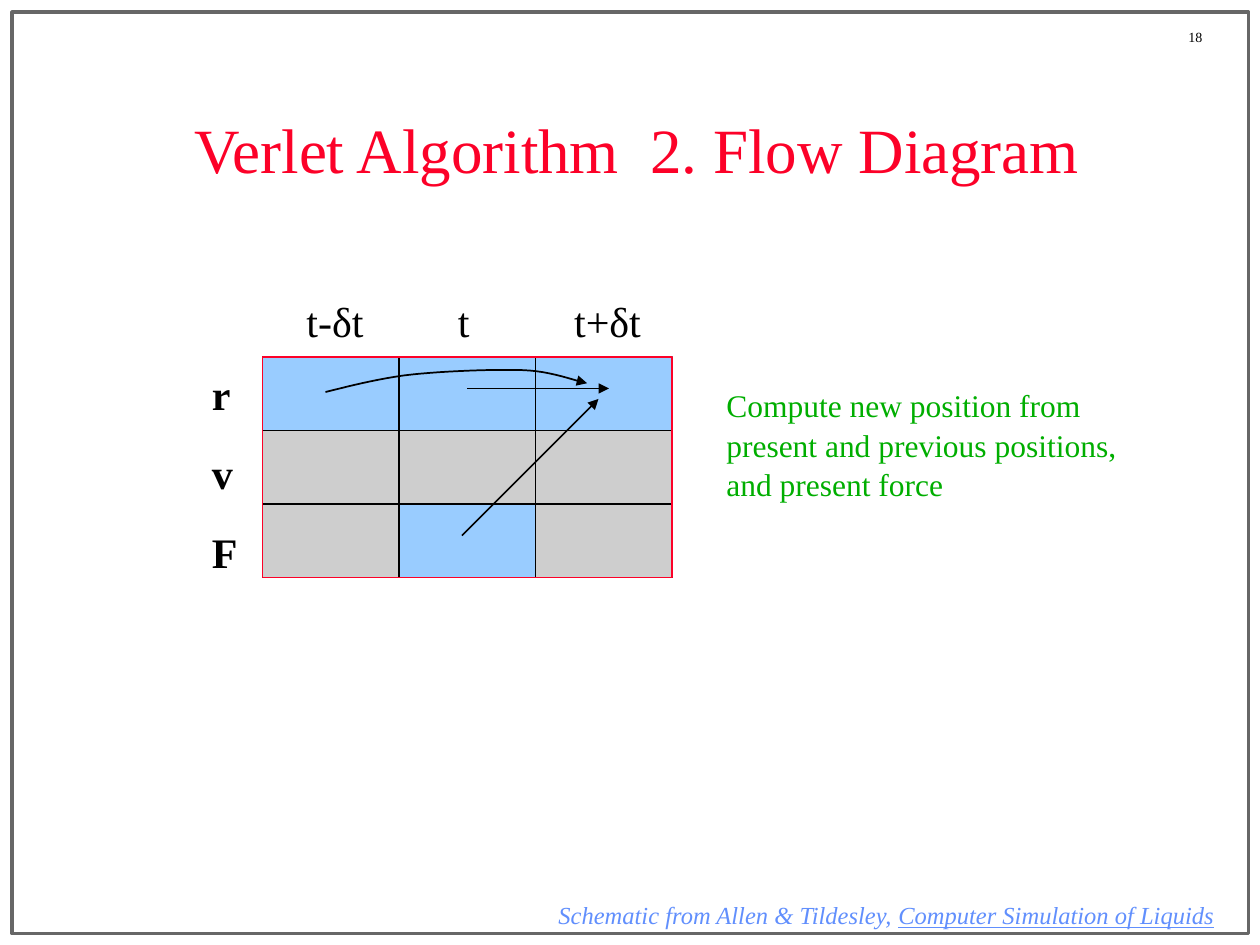
from lxml import etree
from pptx import Presentation
from pptx.dml.color import RGBColor
from pptx.enum.shapes import MSO_CONNECTOR, MSO_SHAPE
from pptx.enum.text import MSO_ANCHOR, PP_ALIGN
from pptx.oxml.ns import qn
from pptx.util import Pt

RECTANGLE = MSO_SHAPE.RECTANGLE
STRAIGHT = MSO_CONNECTOR.STRAIGHT
CENTER = PP_ALIGN.CENTER
MIDDLE = MSO_ANCHOR.MIDDLE

COLORS = {
    "frame": "676767", "red": "FC0128", "black": "000000", "green": "00AE00",
    "credit": "618FFD", "used": "99CCFF", "unused": "CECECE",
}


def add_text(place, paragraphs, color, gap=0, **format_values):
    """Fill a new box, or a given placeholder, with paragraphs of (text, underline) spans."""
    box = page.shapes.add_textbox(*map(Pt, place)) if isinstance(place, tuple) else place
    frame = box.text_frame
    frame.word_wrap = True
    for index, spans in enumerate(paragraphs):
        para = frame.paragraphs[0] if index == 0 else frame.add_paragraph()
        para.line_spacing = 1.05
        if index:
            para.space_before = Pt(gap)
        for text, underline in spans:
            span = para.add_run()
            span.text = text
            span.font.name = "Times New Roman"
            span.font.color.rgb = RGBColor.from_string(COLORS[color])
            if underline:
                span.font.underline = True
            for name, value in format_values.items():
                setattr(span.font, name, value)
    return box


def style_outline(shape, color, width=1, arrow=False):
    shape.line.color.rgb = RGBColor.from_string(COLORS[color])
    shape.line.width = Pt(width)
    if arrow:
        etree.SubElement(shape.get_or_add_ln(), qn("a:tailEnd"), type="triangle")


deck = Presentation()
deck.slide_width, deck.slide_height = Pt(720), Pt(540)
page = deck.slides.add_slide(deck.slide_layouts[5])

# Page frame, number and title
border = page.shapes.add_shape(RECTANGLE, Pt(7), Pt(7), Pt(706.5), Pt(526.5))
border.fill.background()
border.shadow.inherit = False
style_outline(border, "frame", 2)
add_text((672, 12.5, 48, 16.5), [[("18", False)]], "black", size=Pt(8))

title = page.shapes.title
title.left, title.top, title.width, title.height = Pt(54), Pt(48), Pt(620), Pt(71.5)
add_text(title, [[("Verlet Algorithm  2. Flow Diagram", False)]], "red", size=Pt(36))
title.text_frame.vertical_anchor = MIDDLE
title.text_frame.paragraphs[0].alignment = CENTER

# Grid of quantities (rows) against time steps (columns)
GRID_LEFT, GRID_TOP, CELL_WIDTH, CELL_HEIGHT = 150, 204, 78, 42
states = [
    ["used", "used", "used"],
    ["unused", "unused", "unused"],
    ["unused", "used", "unused"],
]
for row, row_states in enumerate(states):
    for column, state in enumerate(row_states):
        cell = page.shapes.add_shape(
            RECTANGLE, Pt(GRID_LEFT + column * CELL_WIDTH),
            Pt(GRID_TOP + row * CELL_HEIGHT), Pt(CELL_WIDTH), Pt(CELL_HEIGHT))
        cell.fill.solid()
        cell.fill.fore_color.rgb = RGBColor.from_string(COLORS[state])
        cell.shadow.inherit = False
        style_outline(cell, "black")

# Labels, explanation and credit
add_text((114, 205.5, 36, 124), [[(label, False)] for label in "rvF"], "black",
         gap=15, size=Pt(24), bold=True)
times = add_text((144, 164, 240, 36), [[("\tt-δt\tt\tt+δt", False)]], "black", size=Pt(24))
para_format = times.text_frame.paragraphs[0]._p.get_or_add_pPr()
tab_list = etree.SubElement(para_format, qn("a:tabLst"))
for position in (24, 110.5, 177):
    etree.SubElement(tab_list, qn("a:tab"), pos=str(Pt(position)), algn="l")

add_text((408, 216, 240, 72),
         [[("Compute new position from present and previous positions, and present force", False)]],
         "green", size=Pt(18))
add_text((312, 510, 408, 24.5),
         [[("Schematic from Allen & Tildesley, ", False), ("Computer Simulation of Liquids", True)]],
         "credit", size=Pt(14), italic=True)

# Straight arrows from the present position and the present force
for ends in [(267, 222, 348, 222), (264, 306, 342, 228)]:
    arrow = page.shapes.add_connector(STRAIGHT, *map(Pt, ends))
    style_outline(arrow, "black", arrow=True)
    etree.SubElement(arrow._element.spPr, qn("a:effectLst"))

# Curved arrow from the previous position, sampled from cubic Bézier pieces
STEPS = 12
controls = [
    (186, 224), (194.5, 222), (216.5, 216), (235.5, 214), (254.5, 212),
    (281.5, 211), (298.5, 211.5), (315, 212), (328, 217.5), (335.5, 219),
]
points = []
for first in range(0, len(controls) - 1, 3):
    for step in range(1, STEPS + 1):
        t = step / STEPS
        weights = ((1 - t) ** 3, 3 * t * (1 - t) ** 2, 3 * t ** 2 * (1 - t), t ** 3)
        points.append(tuple(
            Pt(sum(weight * point[axis] for weight, point in zip(weights, controls[first:first + 4])))
            for axis in (0, 1)))
builder = page.shapes.build_freeform(Pt(controls[0][0]), Pt(controls[0][1]))
builder.add_line_segments(points, close=False)
curve = builder.convert_to_shape()
curve.fill.background()
curve.shadow.inherit = False
style_outline(curve, "black", arrow=True)

# Red outline around the grid
outline = page.shapes.add_shape(
    RECTANGLE, Pt(GRID_LEFT), Pt(GRID_TOP), Pt(3 * CELL_WIDTH), Pt(3 * CELL_HEIGHT))
outline.fill.background()
outline.shadow.inherit = False
style_outline(outline, "red")

deck.save("out.pptx")
